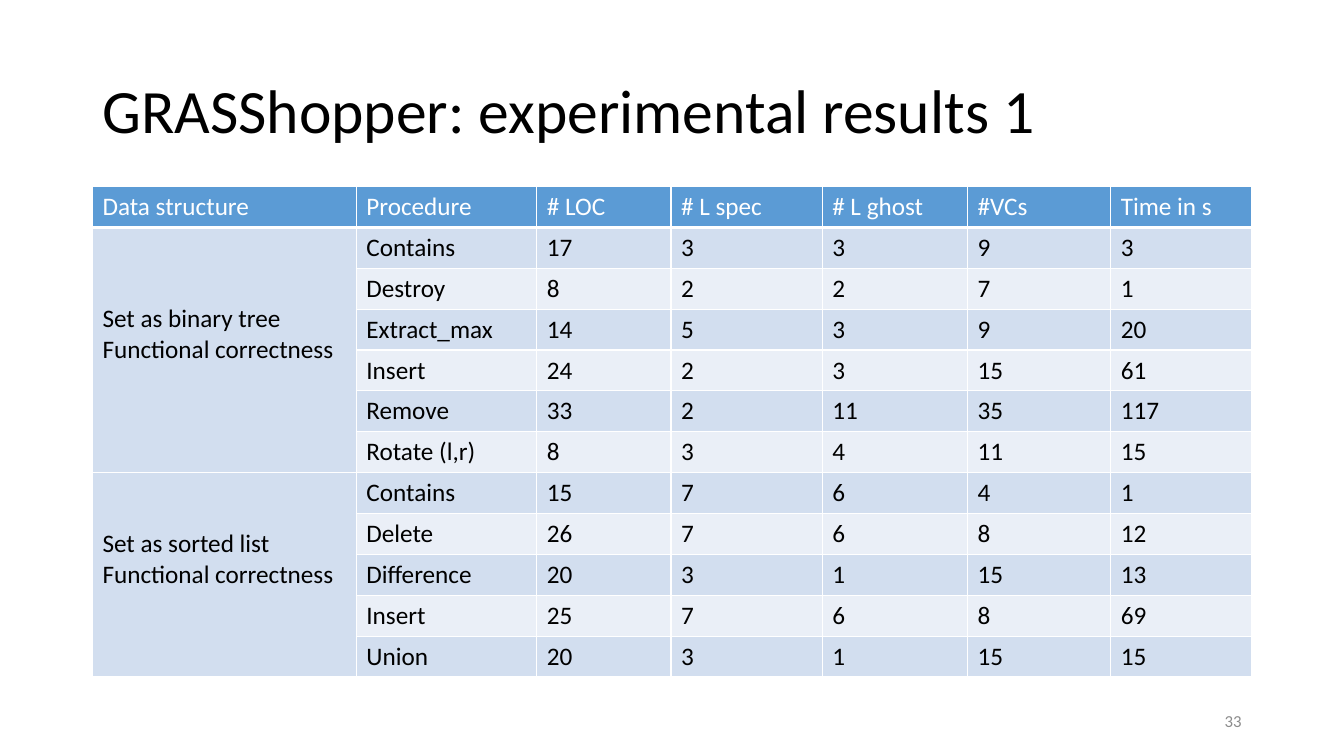
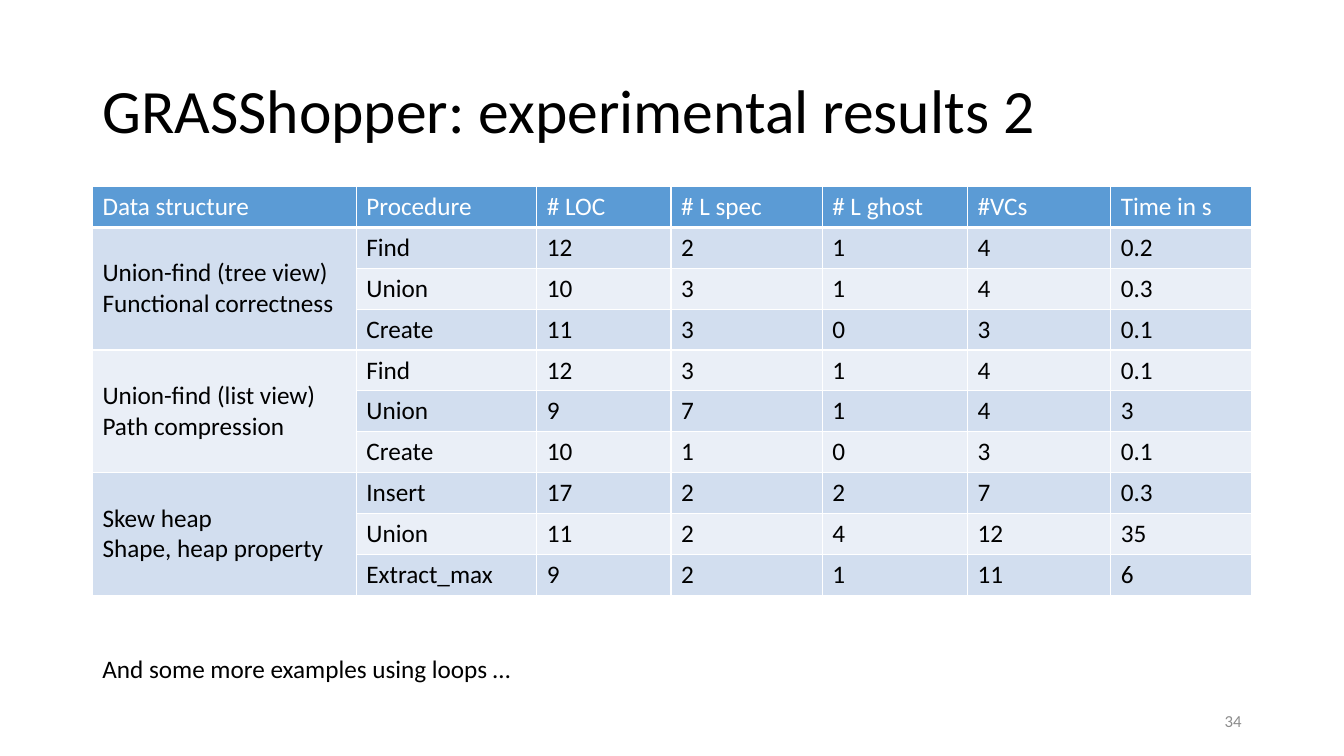
from lxml import etree
from pptx import Presentation
from pptx.dml.color import RGBColor
from pptx.enum.text import MSO_ANCHOR as Anchor, MSO_AUTO_SIZE as AutoSize, PP_ALIGN as Align
from pptx.oxml.ns import qn
from pptx.util import Cm, Pt

COLORS = {
    "text": "000000",
    "header_text": "FFFFFF",
    "header": "5B9BD5",
    "band_dark": "D2DEEF",
    "band_light": "EAEFF7",
    "border": "FFFFFF",
    "number": "8C8C8C",
}
FONT = "Calibri"
LEFT, WIDTH = Cm(2.33), Cm(29.21)
ROW_HEIGHT = Cm(1.03)
COLUMN_WIDTHS = [6.65, 4.55, 3.38, 3.81, 3.66, 3.61, 3.55]
HEADINGS = ["Data structure", "Procedure", "# LOC", "# L spec", "# L ghost", "#VCs", "Time in s"]

SET_RESULTS = [
    ("Set as binary tree\nFunctional correctness", [
        ("Contains", 17, 3, 3, 9, 3),
        ("Destroy", 8, 2, 2, 7, 1),
        ("Extract_max", 14, 5, 3, 9, 20),
        ("Insert", 24, 2, 3, 15, 61),
        ("Remove", 33, 2, 11, 35, 117),
        ("Rotate (l,r)", 8, 3, 4, 11, 15),
    ]),
    ("Set as sorted list\nFunctional correctness", [
        ("Contains", 15, 7, 6, 4, 1),
        ("Delete", 26, 7, 6, 8, 12),
        ("Difference", 20, 3, 1, 15, 13),
        ("Insert", 25, 7, 6, 8, 69),
        ("Union", 20, 3, 1, 15, 15),
    ]),
]
UNION_FIND_AND_HEAP_RESULTS = [
    ("Union-find (tree view)\nFunctional correctness", [
        ("Find", 12, 2, 1, 4, 0.2),
        ("Union", 10, 3, 1, 4, 0.3),
        ("Create", 11, 3, 0, 3, 0.1),
    ]),
    ("Union-find (list view)\nPath compression", [
        ("Find", 12, 3, 1, 4, 0.1),
        ("Union", 9, 7, 1, 4, 3),
        ("Create", 10, 1, 0, 3, 0.1),
    ]),
    ("Skew heap\nShape, heap property", [
        ("Insert", 17, 2, 2, 7, 0.3),
        ("Union", 11, 2, 4, 12, 35),
        ("Extract_max", 9, 2, 1, 11, 6),
    ]),
]


def rgb(name):
    return RGBColor.from_string(COLORS[name])


class Deck:
    """Holds the presentation, its style and the slide being built."""

    def __init__(self):
        self.presentation = Presentation()
        self.presentation.slide_width = Cm(33.87)
        self.presentation.slide_height = Cm(19.05)
        self.slide = None

    def set_text(self, frame, text, size=18, color="text", align=Align.LEFT):
        frame.text = text
        for paragraph in frame.paragraphs:
            paragraph.alignment = align
            font = paragraph.font
            font.name, font.size, font.bold = FONT, Pt(size), False
            font.color.rgb = rgb(color)

    def add_slide(self, title, number):
        self.slide = self.presentation.slides.add_slide(self.presentation.slide_layouts[5])
        shape = self.slide.shapes.title
        shape.left, shape.top, shape.width, shape.height = LEFT, Cm(1.01), WIDTH, Cm(3.68)
        frame = shape.text_frame
        self.set_text(frame, title, 44)
        frame.auto_size = AutoSize.NONE
        frame.vertical_anchor = Anchor.MIDDLE
        frame.paragraphs[0].line_spacing = 0.9
        self.add_slide_number(number)

    def add_slide_number(self, number):
        width = Cm(7.62)
        box = self.slide.shapes.add_textbox(LEFT + WIDTH - width, Cm(17.66), width, Cm(1.01))
        box.text_frame.word_wrap = True
        box.text_frame.vertical_anchor = Anchor.MIDDLE
        self.set_text(box.text_frame, str(number), 12, "number", Align.RIGHT)

    def add_note(self, text):
        box = self.slide.shapes.add_textbox(LEFT, Cm(16.33), Cm(10.97), ROW_HEIGHT)
        box.text_frame.word_wrap = False
        box.text_frame.auto_size = AutoSize.SHAPE_TO_FIT_TEXT
        self.set_text(box.text_frame, text)

    def style_cell(self, cell, row):
        """Give a cell its borders, then the fill of the header or of its band."""
        properties = cell._tc.get_or_add_tcPr()
        for side in ("lnL", "lnR", "lnT", "lnB"):
            points = 3 if row == 0 and side == "lnB" else 1
            line = etree.SubElement(properties, qn(f"a:{side}"), w=str(Pt(points)))
            fill = etree.SubElement(line, qn("a:solidFill"))
            etree.SubElement(fill, qn("a:srgbClr"), val=COLORS["border"])
        cell.fill.solid()
        band = "band_dark" if row % 2 else "band_light"
        cell.fill.fore_color.rgb = rgb(band if row else "header")

    def add_results(self, groups, label_bottom=0.13):
        """Draw a table with one merged label cell per group of procedures."""
        row_count = 1 + sum(len(procedures) for _, procedures in groups)
        table = self.slide.shapes.add_table(
            row_count, len(HEADINGS), LEFT, Cm(4.7), WIDTH, row_count * ROW_HEIGHT).table
        for column, width in zip(table.columns, COLUMN_WIDTHS):
            column.width = Cm(width)
        for row in range(row_count):
            table.rows[row].height = ROW_HEIGHT
            for column in range(len(HEADINGS)):
                self.style_cell(table.cell(row, column), row)
        for column, heading in enumerate(HEADINGS):
            self.set_text(table.cell(0, column).text_frame, heading, color="header_text")
        row = 1
        for label, procedures in groups:
            label_cell = table.cell(row, 0)
            label_cell.merge(table.cell(row + len(procedures) - 1, 0))
            label_cell.vertical_anchor = Anchor.MIDDLE
            label_cell.margin_bottom = Cm(label_bottom)
            self.set_text(label_cell.text_frame, label)
            for row, values in enumerate(procedures, row):
                for column, value in enumerate(values, 1):
                    self.set_text(table.cell(row, column).text_frame, str(value))
            row += 1


def main():
    deck = Deck()
    deck.add_slide("GRASShopper: experimental results 1", 33)
    deck.add_results(SET_RESULTS, label_bottom=0.9)
    deck.add_slide("GRASShopper: experimental results 2", 34)
    deck.add_results(UNION_FIND_AND_HEAP_RESULTS)
    deck.add_note("And some more examples using loops …")
    deck.presentation.save("out.pptx")


if __name__ == "__main__":
    main()
